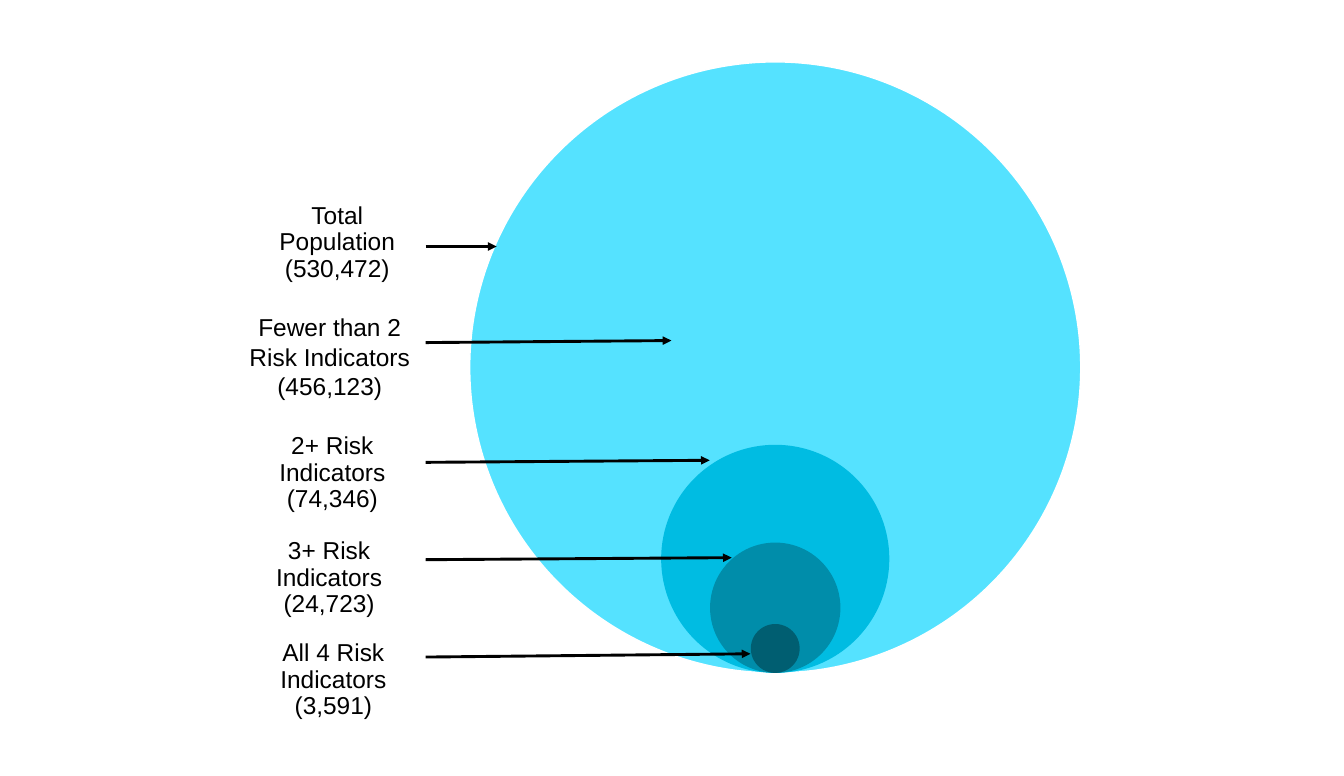
from dataclasses import dataclass

from lxml import etree
from pptx import Presentation
from pptx.dml.color import RGBColor
from pptx.enum.shapes import MSO_CONNECTOR, MSO_SHAPE
from pptx.enum.text import MSO_ANCHOR, PP_ALIGN
from pptx.oxml.ns import qn
from pptx.util import Cm, Pt

OVAL = MSO_SHAPE.OVAL
STRAIGHT = MSO_CONNECTOR.STRAIGHT
TOP, MIDDLE = MSO_ANCHOR.TOP, MSO_ANCHOR.MIDDLE
CENTER = PP_ALIGN.CENTER


@dataclass(frozen=True)
class Theme:
    total: str = "55E2FF"
    two_plus: str = "00BCE2"
    three_plus: str = "008DAA"
    all_four: str = "005E71"
    rim: str = "FFFFFF"
    ink: str = "000000"
    font: str = "Arial"
    label_size: int = 17


theme = Theme()
ink = RGBColor.from_string(theme.ink)

prs = Presentation()
prs.slide_width, prs.slide_height = Cm(32.99), Cm(19.05)
slide = prs.slides.add_slide(prs.slide_layouts[6])

CENTER_X, BASE_Y = 19.03, 16.52
populations = [
    (15, theme.total),
    (5.6, theme.two_plus),
    (3.2, theme.three_plus),
    (1.2, theme.all_four),
]
for diameter, color in populations:
    circle = slide.shapes.add_shape(
        OVAL, Cm(CENTER_X - diameter / 2), Cm(BASE_Y - diameter), Cm(diameter), Cm(diameter)
    )
    circle.shadow.inherit = False
    circle.fill.solid()
    circle.fill.fore_color.rgb = RGBColor.from_string(color)
    if color == theme.total:
        circle.line.color.rgb = RGBColor.from_string(theme.rim)
        circle.line.width = Pt(1)
    else:
        circle.line.fill.background()

labels = [
    ("Total Population", "(530,472)", (6.17, 4.83, 4.22, 2.26), (0.38, 0.38), MIDDLE, 0.9),
    ("2+ Risk Indicators", "(74,346)", (6.05, 10.54, 4.22, 2.16), (0.33, 0.33), MIDDLE, 0.9),
    ("3+ Risk Indicators", "(24,723)", (5.97, 13.18, 4.22, 2.03), (0.33, 0.33), MIDDLE, 0.9),
    ("All 4 Risk Indicators", "(3,591)", (6.05, 15.19, 4.27, 3.02), (0.33, 0.33), MIDDLE, 0.9),
    ("Fewer than 2 Risk Indicators", "(456,123)", (5.49, 7.54, 5.21, 1.96), (0.25, 0.13), TOP, 1.0),
]
for group, count, bounds, (side_inset, end_inset), anchor, spacing in labels:
    frame = slide.shapes.add_textbox(*map(Cm, bounds)).text_frame
    frame.word_wrap = True
    frame.vertical_anchor = anchor
    frame.margin_left = frame.margin_right = Cm(side_inset)
    frame.margin_top = frame.margin_bottom = Cm(end_inset)
    for line, paragraph in ((group, frame.paragraphs[0]), (count, frame.add_paragraph())):
        paragraph.alignment = CENTER
        paragraph.line_spacing = spacing
        run = paragraph.add_run()
        run.text = line
        run.font.name = theme.font
        run.font.size = Pt(theme.label_size)
        run.font.color.rgb = ink

ARROW_START = 10.45
arrows = [
    (8.41, 16.48, 8.36),
    (11.35, 17.42, 11.3),
    (13.74, 17.96, 13.69),
    (16.13, 18.42, 16.05),
    (6.05, 12.19, 6.05),
]
for start_y, tip_x, tip_y in arrows:
    arrow = slide.shapes.add_connector(
        STRAIGHT, Cm(ARROW_START), Cm(start_y), Cm(tip_x), Cm(tip_y)
    )
    arrow.line.color.rgb = ink
    arrow.line.width = Pt(2)
    etree.SubElement(arrow.line._get_or_add_ln(), qn("a:tailEnd"), type="triangle")
    etree.SubElement(arrow._element.spPr, qn("a:effectLst"))

prs.save("out.pptx")
